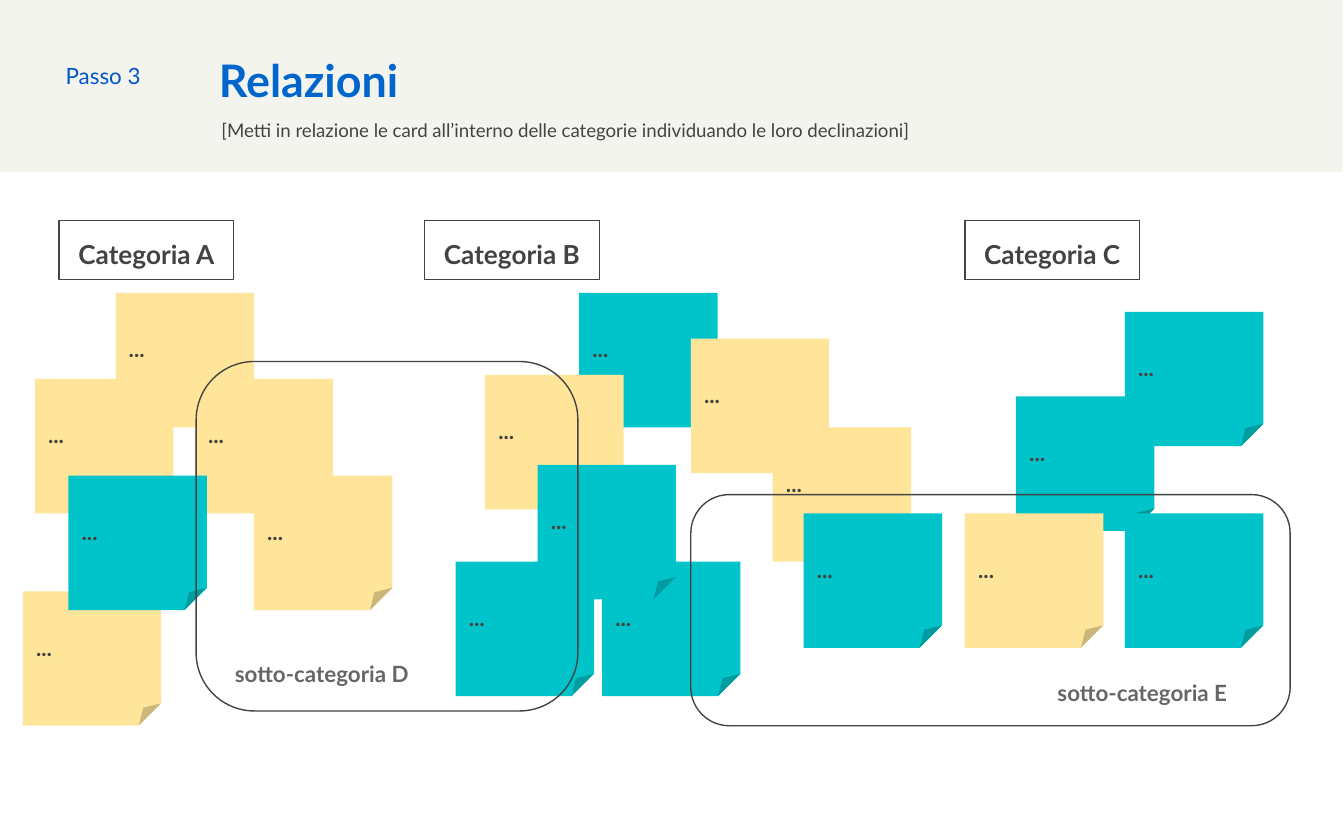
"""Build the "Relazioni" slide: sticky notes sorted into categories and sub-categories."""
from typing import NamedTuple, Optional

from pptx import Presentation
from pptx.dml.color import RGBColor
from pptx.enum.shapes import MSO_SHAPE as Preset
from pptx.enum.text import MSO_ANCHOR as Anchor, MSO_AUTO_SIZE as Fit, PP_ALIGN as Align
from pptx.util import Inches, Pt

BAND = RGBColor(0xF4, 0xF4, 0xEF)
YELLOW = RGBColor(0xFF, 0xE5, 0x99)
TEAL = RGBColor(0x00, 0xC4, 0xC9)
INK = RGBColor(0x43, 0x43, 0x43)
GREY = RGBColor(0x66, 0x66, 0x66)
TITLE_BLUE = RGBColor(0x00, 0x66, 0xCC)
STEP_BLUE = RGBColor(0x00, 0x56, 0xCB)

COLUMNS, ROWS = 1000, 625
CELL = Inches(0.01)
NOTE_SIZE = (103, 100)
CATEGORY_SIZE = (130, 44)
CATEGORY_ROW = 164
MARGINS = dict.fromkeys(("margin_left", "margin_top", "margin_right", "margin_bottom"), Inches(0.1))


class Area(NamedTuple):
    column: float
    row: float
    columns: float
    rows: float


class Note(NamedTuple):
    column: float
    row: float
    color: RGBColor


class Style(NamedTuple):
    size: int
    color: RGBColor
    bold: bool = True
    anchor: Anchor = Anchor.TOP
    align: Align = Align.LEFT
    spacing: float = 1.0
    fit: Fit = Fit.NONE


class Label(NamedTuple):
    text: str
    area: Area
    style: Style


NOTE_STYLE = Style(12, INK, anchor=Anchor.MIDDLE)
CATEGORY_STYLE = Style(14, INK, align=Align.CENTER, spacing=1.15, fit=Fit.SHAPE_TO_FIT_TEXT)
SUBCATEGORY_STYLE = CATEGORY_STYLE._replace(size=12, color=GREY)

NOTES = [
    Note(86, 218, YELLOW), Note(26, 282, YELLOW), Note(145, 282, YELLOW),
    Note(17, 440, YELLOW), Note(189, 354, YELLOW), Note(431, 218, TEAL),
    Note(756, 295, TEAL), Note(837, 232, TEAL), Note(51, 354, TEAL),
    Note(448, 418, TEAL), Note(837, 382, TEAL), Note(339, 418, TEAL),
    Note(361, 279, YELLOW), Note(514, 252, YELLOW), Note(400, 346, TEAL),
    Note(575, 318, YELLOW), Note(598, 382, TEAL), Note(718, 382, YELLOW),
]
CATEGORIES = {"Categoria A": 44, "Categoria B": 316, "Categoria C": 718}
HEADINGS = [
    Label("Relazioni", Area(153, 39, 792, 41), Style(24, TITLE_BLUE, anchor=Anchor.MIDDLE)),
    Label("[Metti in relazione le card all’interno delle categorie individuando le loro declinazioni]",
          Area(155, 76, 580, 34), Style(10, INK, bold=False, spacing=1.15)),
    Label("Passo 3", Area(39, 39, 111, 34), Style(12, STEP_BLUE, bold=False, anchor=Anchor.MIDDLE)),
]
SUBCATEGORY_FRAMES = [Area(514, 368, 446, 172), Area(146, 269, 284, 260)]
SUBCATEGORIES = [
    Label("sotto-categoria E", Area(756, 492, 188, 40), SUBCATEGORY_STYLE),
    Label("sotto-categoria D", Area(138, 478, 203, 40), SUBCATEGORY_STYLE),
]


def place(area: Area) -> list[int]:
    return [round(length * CELL) for length in area]


def apply(target, formats: dict) -> None:
    for attribute, value in formats.items():
        setattr(target, attribute, value)


def write(shape, text: str, style: Style) -> None:
    frame = shape.text_frame
    apply(frame, {**MARGINS, "word_wrap": True, "auto_size": style.fit,
                  "vertical_anchor": style.anchor})
    paragraph = frame.paragraphs[0]
    apply(paragraph, {"alignment": style.align, "line_spacing": style.spacing})
    run = paragraph.add_run()
    run.text = text
    apply(run.font, {"name": "Lato", "size": Pt(style.size), "bold": style.bold})
    run.font.color.rgb = style.color


def draw_shape(slide, preset: Preset, area: Area, fill: Optional[RGBColor] = None):
    shape = slide.shapes.add_shape(preset, *place(area))
    shape.shadow.inherit = False
    if fill is None:
        shape.fill.background()
        shape.line.color.rgb = INK
        shape.line.width = Pt(0.75)
    else:
        shape.fill.solid()
        shape.fill.fore_color.rgb = fill
        shape.line.fill.background()
    return shape


def draw_note(slide, note: Note) -> None:
    card = draw_shape(slide, Preset.FOLDED_CORNER, Area(note.column, note.row, *NOTE_SIZE), note.color)
    write(card, "...", NOTE_STYLE)


def draw_category(slide, name: str, column: float) -> None:
    box = draw_shape(slide, Preset.RECTANGLE, Area(column, CATEGORY_ROW, *CATEGORY_SIZE))
    write(box, name, CATEGORY_STYLE)


def draw_label(slide, label: Label) -> None:
    write(slide.shapes.add_textbox(*place(label.area)), label.text, label.style)


def main() -> None:
    deck = Presentation()
    apply(deck, {"slide_width": COLUMNS * CELL, "slide_height": ROWS * CELL})
    slide = deck.slides.add_slide(deck.slide_layouts[6])
    draw_shape(slide, Preset.RECTANGLE, Area(-1, -3, COLUMNS, 131), BAND)
    for note in NOTES:
        draw_note(slide, note)
    for name, column in CATEGORIES.items():
        draw_category(slide, name, column)
    for heading in HEADINGS:
        draw_label(slide, heading)
    for frame in SUBCATEGORY_FRAMES:
        draw_shape(slide, Preset.ROUNDED_RECTANGLE, frame)
    for subcategory in SUBCATEGORIES:
        draw_label(slide, subcategory)
    deck.save("out.pptx")


if __name__ == "__main__":
    main()
